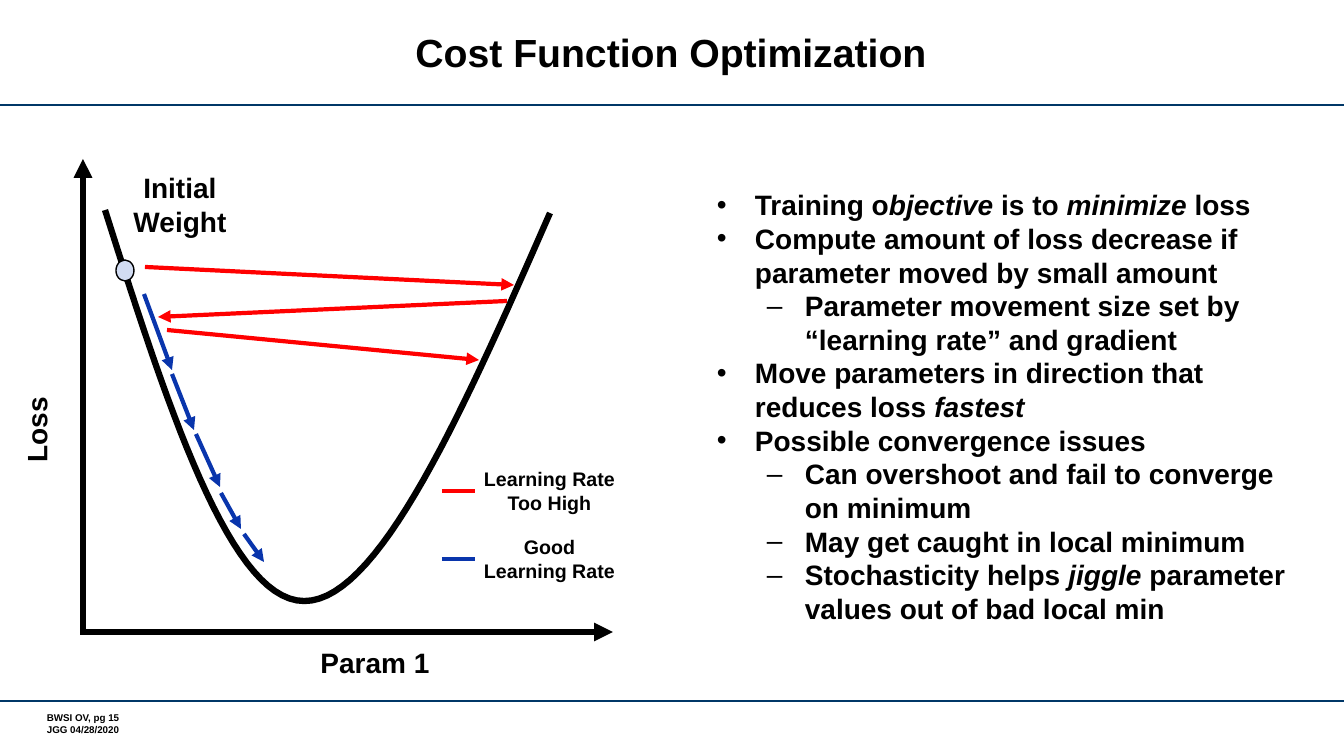
from dataclasses import dataclass

from lxml import etree
from pptx import Presentation
from pptx.dml.color import RGBColor
from pptx.enum.shapes import MSO_CONNECTOR, MSO_SHAPE
from pptx.enum.text import MSO_ANCHOR, PP_ALIGN
from pptx.oxml.ns import qn
from pptx.util import Emu, Pt

STRAIGHT = MSO_CONNECTOR.STRAIGHT
OVAL = MSO_SHAPE.OVAL
LEFT, CENTER = PP_ALIGN.LEFT, PP_ALIGN.CENTER
TOP, MIDDLE = MSO_ANCHOR.TOP, MSO_ANCHOR.MIDDLE

TITLE = "Cost Function Optimization"
FOOTER = ["BWSI OV, pg 15", "JGG 04/28/2020"]
BULLETS = [
    (0, "Training o*bjective* is to *minimize* loss"),
    (0, "Compute amount of loss decrease if parameter moved by small amount"),
    (1, "Parameter movement size set by “learning rate” and gradient"),
    (0, "Move parameters in direction that reduces loss *fastest*"),
    (0, "Possible convergence issues"),
    (1, "Can overshoot and fail to converge on minimum"),
    (1, "May get caught in local minimum"),
    (1, "Stochasticity helps *jiggle* parameter values out of bad local min"),
]
BULLET_MARKS = ["•", "‒"]
RULES_Y = [105, 701]
AXES = [(82, 632, 613, 632), (83, 635, 83, 159)]
LOSS_CURVE = [
    ((105, 210), (167, 405), (230, 601), (304, 601)),
    ((304, 601), (379, 602), (465, 407), (550, 213)),
]
START_DOT = (116, 260, 18, 21)
GOOD_STEPS = [
    (144, 294, 172, 370),
    (172, 374, 194, 430),
    (196, 434, 220, 487),
    (221, 493, 241, 529),
    (244, 534, 264, 562),
]
HIGH_STEPS = [
    (145, 267, 514, 285),
    (507, 301, 158, 317),
    (167, 330, 479, 360),
]


@dataclass(frozen=True)
class Theme:
    font: str = "Arial"
    ink: str = "000000"
    rule: str = "003767"
    good: str = "0935AC"
    high: str = "FF0000"
    dot: str = "D2DCF2"
    title: int = 28
    body: int = 20
    legend: int = 14
    footer: int = 7
    heavy: float = 4.5
    arrow: float = 3
    thin: float = 1.75
    outline: float = 1


T = Theme()
LEGEND = [("Learning Rate Too High", T.high), ("Good Learning Rate", T.good)]
LEGEND_TOP, LEGEND_STEP = 491, 68
SLIDE_W, SLIDE_H = 1344, 756
SCALE = 12192000 / SLIDE_W
CURVE_STEPS = 30


def px(n):
    return Emu(round(n * SCALE))


def set_line(line, color, width):
    line.color.rgb = RGBColor.from_string(color)
    line.width = Pt(width)


def add_line(shapes, ends, color, width, arrow=False):
    c = shapes.add_connector(STRAIGHT, *map(px, ends))
    set_line(c.line, color, width)
    if arrow:
        etree.SubElement(c.line._get_or_add_ln(), qn("a:tailEnd"), type="triangle")
    etree.SubElement(c._element.spPr, qn("a:effectLst"))


def add_text(shapes, box, lines, size, align=CENTER, anchor=TOP, wrap=True):
    sp = shapes.add_textbox(*map(px, box))
    tf = sp.text_frame
    tf.word_wrap = wrap
    tf.vertical_anchor = anchor
    for i, line in enumerate(lines):
        p = tf.add_paragraph() if i else tf.paragraphs[0]
        p.alignment = align
        for j, part in enumerate(line.split("*")):
            if part:
                r = p.add_run()
                r.text = part
                r.font.name = T.font
                r.font.size = Pt(size)
                r.font.bold = True
                r.font.italic = j % 2 == 1
                r.font.color.rgb = RGBColor.from_string(T.ink)
    return sp


def set_bullet(p, level):
    p.level = level
    pPr = p._p.get_or_add_pPr()
    pPr.set("marL", str(px(38 + 50 * level)))
    pPr.set("indent", str(px(-38)))
    etree.SubElement(pPr, qn("a:buFont"), typeface=T.font)
    etree.SubElement(pPr, qn("a:buChar"), char=BULLET_MARKS[level])


def bezier(points, t):
    weights = ((1 - t) ** 3, 3 * t * (1 - t) ** 2, 3 * t * t * (1 - t), t ** 3)
    return tuple(px(sum(w * q[k] for w, q in zip(weights, points))) for k in (0, 1))


def add_curve(shapes):
    points = [bezier(seg, i / CURVE_STEPS)
              for seg in LOSS_CURVE for i in range(1, CURVE_STEPS + 1)]
    fb = shapes.build_freeform(*map(px, LOSS_CURVE[0][0]))
    fb.add_line_segments(points, close=False)
    sp = fb.convert_to_shape()
    sp.shadow.inherit = False
    sp.fill.background()
    set_line(sp.line, T.ink, T.heavy)


def add_start_dot(shapes):
    sp = shapes.add_shape(OVAL, *map(px, START_DOT))
    sp.shadow.inherit = False
    sp.fill.solid()
    sp.fill.fore_color.rgb = RGBColor.from_string(T.dot)
    set_line(sp.line, T.ink, T.outline)


def main():
    prs = Presentation()
    prs.slide_width, prs.slide_height = px(SLIDE_W), px(SLIDE_H)
    s = prs.slides.add_slide(prs.slide_layouts[6]).shapes

    for y in RULES_Y:
        add_line(s, (0, y, SLIDE_W, y), T.rule, T.thin)
    footer = add_text(s, (47, 712, 160, 24), FOOTER, T.footer, LEFT).text_frame
    footer.margin_left = footer.margin_right = 0
    footer.margin_top = footer.margin_bottom = 0
    title = add_text(s, (138, 11, 1066, 90), [TITLE], T.title, anchor=MIDDLE)
    title.text_frame.paragraphs[0].line_spacing = Pt(28)

    body = add_text(s, (707, 183, 612, 452), [b[1] for b in BULLETS], T.body, LEFT)
    for p, (level, _) in zip(body.text_frame.paragraphs, BULLETS):
        set_bullet(p, level)

    for ends in AXES:
        add_line(s, ends, T.ink, T.heavy, arrow=True)
    add_text(s, (310, 641, 130, 44), ["Param 1"], T.body, wrap=False)
    loss = add_text(s, (-7, 408, 87, 44), ["Loss"], T.body, wrap=False)
    loss.rotation = 270
    add_text(s, (115, 166, 130, 78), ["Initial Weight"], T.body)

    add_curve(s)
    add_start_dot(s)
    for steps, color in ((GOOD_STEPS, T.good), (HIGH_STEPS, T.high)):
        for ends in steps:
            add_line(s, ends, color, T.arrow, arrow=True)

    for i, (label, color) in enumerate(LEGEND):
        y = LEGEND_TOP + i * LEGEND_STEP
        add_line(s, (442, y, 475, y), color, T.arrow)
        add_text(s, (473, y - 29, 153, 57), [label], T.legend)

    prs.save("out.pptx")


if __name__ == "__main__":
    main()
